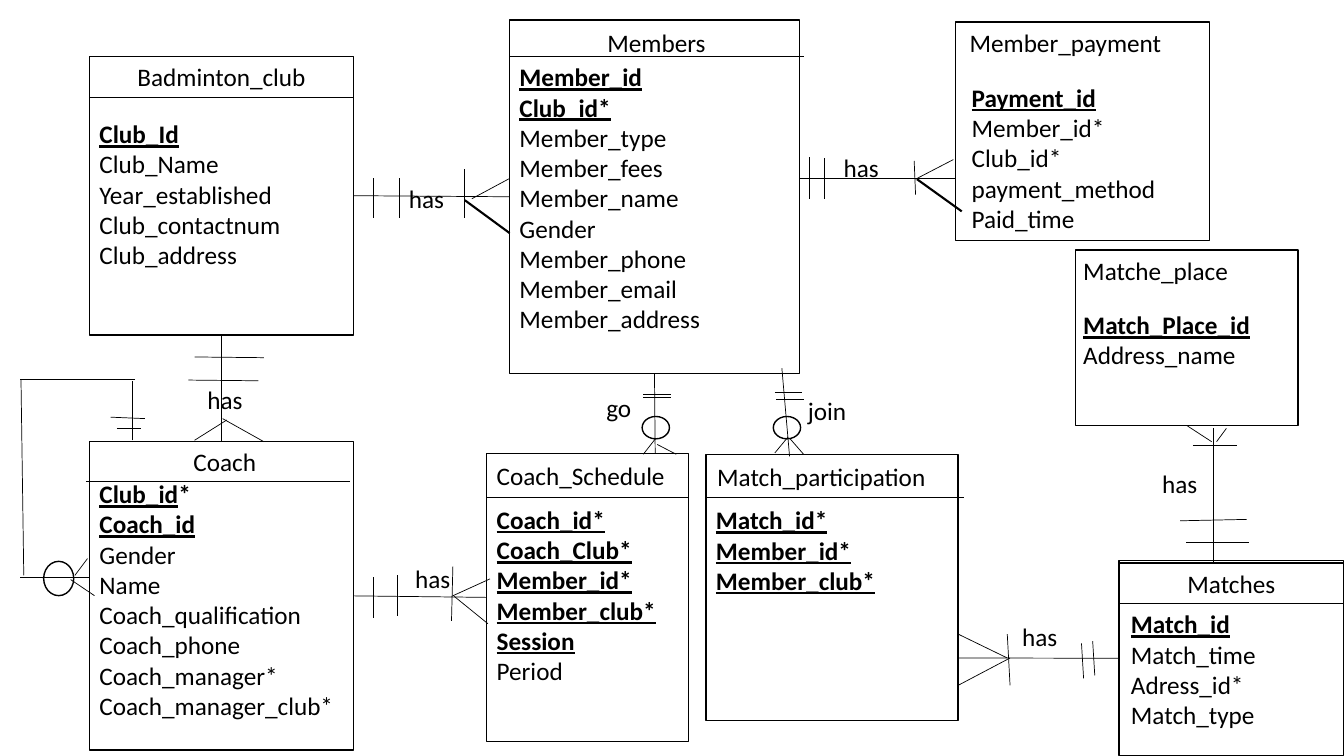
"""Build the entity diagram of a badminton club."""
import pptx
import pptx.util
import pptx.enum.shapes
import pptx.enum.text
import pptx.dml.color
import pptx.oxml

Pt = pptx.util.Pt
Kind = pptx.enum.shapes.MSO_SHAPE
Align = pptx.enum.text.PP_ALIGN
hues = {"ink": "000000", "paper": "FFFFFF"}
ink = pptx.dml.color.RGBColor.from_string(hues["ink"])
paper = pptx.dml.color.RGBColor.from_string(hues["paper"])

deck = pptx.Presentation()
deck.slide_width, deck.slide_height = Pt(960), Pt(540)
slide = deck.slides.add_slide(deck.slide_layouts[6])
shapes = slide.shapes


def write(left, top, width, rows, keys=0, align=Align.LEFT, box=None):
    """Write rows, the first ones as underlined keys, in a box or a new text box."""
    if box is None:
        box = shapes.add_textbox(Pt(left), Pt(top), Pt(width), Pt(21.8 * len(rows) + 7.2))
        box.text_frame.auto_size = pptx.enum.text.MSO_AUTO_SIZE.SHAPE_TO_FIT_TEXT
    frame = box.text_frame
    frame.word_wrap = True
    for i, row in enumerate(rows):
        para = frame.paragraphs[0] if i == 0 else frame.add_paragraph()
        para.alignment = align
        for j, part in enumerate(row.split("|")):
            run = para.add_run()
            run.text = part
            run.font.name = "Calibri"
            run.font.size = Pt(18)
            run.font.color.rgb = ink
            run.font.bold = i < keys
            run.font.underline = i < keys and j == 0


def draw(x1, y1, x2, y2, weight=0.5):
    """Add a plain black line."""
    line = shapes.add_connector(
        pptx.enum.shapes.MSO_CONNECTOR.STRAIGHT, Pt(x1), Pt(y1), Pt(x2), Pt(y2))
    line.line.color.rgb = ink
    line.line.width = Pt(weight)
    line.element.spPr.append(pptx.oxml.parse_xml(
        '<a:effectLst xmlns:a="http://schemas.openxmlformats.org/drawingml/2006/main"/>'))
    return line


mid, left = Align.CENTER, Align.LEFT
tables = [
    ("Badminton_club", (64, 40.4, 188.5, 198.8), (64, 40.3, 188.5), mid, (64, 81, 188.5),
     (64, 69.7, 252.5), 1,
     ["Club_Id", "Club_Name", "Year_established", "Club_contactnum", "Club_address"]),
    ("Coach", (64, 315.5, 188.5, 220.3), (66.3, 315.5, 188.5), mid, (64, 338.2, 188.5),
     (61.4, 344, 250), 2,
     ["Club_id|*", "Coach_id", "Gender", "Name", "Coach_qualification",
      "Coach_phone", "Coach_manager*", "Coach_manager_club*"]),
    ("Members", (364, 14.2, 207, 252.7), (364, 16, 210), mid, (364, 40.5, 210),
     (364, 40.5, 574), 2,
     ["Member_id", "Club_id*", "Member_type", "Member_fees", "Member_name",
      "Gender", "Member_phone", "Member_email", "Member_address"]),
    ("Member_payment", (682.5, 15.8, 181.5, 156), (685.5, 16, 181.5), left,
     (687, 55.2, 180), None, 1,
     ["Payment_id", "Member_id*", "Club_id*", "payment_method", "Paid_time"]),
    ("Coach_Schedule", (347.7, 323.8, 144, 205.8), (347.7, 325, 148), left,
     (347.7, 356.7, 146), (347.7, 355, 492), 5,
     ["Coach_id*", "Coach_Club*", "Member_id*", "Member_club*", "Session", "Period"]),
    ("Match_participation", (504.3, 324.7, 180, 190), (505.2, 326, 183.5), left,
     (504.3, 357, 184), (504.3, 355, 688.5), 3,
     ["Match_id*", "Member_id*", "Member_club*"]),
    ("Matche_place", (768.3, 178.5, 159, 125.5), (766.7, 178.5, 160.5), left,
     (766.7, 217.5, 160.5), None, 1, ["Match_Place_id", "Address_name"]),
    ("Matches", (799.3, 400.5, 160.4, 139.4), (799.3, 402, 160.4), mid,
     (800.8, 431.2, 158.8), None, 1,
     ["Match_id", "Match_time", "Adress_id*", "Match_type"]),
]

frames = [(name, Kind.RECTANGLE, spot) for name, spot, *_ in tables]
frames += [
    ("Matches head", Kind.RECTANGLE, (799.3, 402, 160.4, 29)),
    ("Schedule zero", Kind.OVAL, (458.7, 297.5, 19.5, 16)),
    ("Join zero", Kind.OVAL, (552.4, 297.5, 19.5, 16)),
    ("Manager zero", Kind.OVAL, (31.2, 401, 21.5, 24.5)),
]
boxes = {}
for name, kind, spot in frames:
    box = shapes.add_shape(kind, *map(Pt, spot))
    box.shadow.inherit = False
    box.fill.solid()
    box.fill.fore_color.rgb = paper
    box.line.color.rgb = ink
    box.line.width = Pt(1)
    boxes[name] = box
boxes["Manager zero"].fill.background()

for name, spot, head, align, body, rule, keys, rows in tables:
    write(*head, [name], align=align, box=boxes.get(name + " head"))
    write(*body, rows, keys)
    if rule:
        start, level, end = rule
        draw(start, level, end, level)

links = [
    ((252.5, 139.5, 364, 141), ("Badminton_club", 3), ("Members", 1)),
    ((158, 239, 158, 315.5), ("Badminton_club", 2), ("Coach", 0)),
    ((252.5, 425.5, 348, 427), ("Coach", 3), ("Coach_Schedule", 1)),
    ((467.5, 267, 468, 324), ("Members", 2), None),
    ((684.5, 470, 799, 470), None, ("Matches", 1)),
    ((847.5, 304, 865.5, 315.5), ("Matche_place", 2), None),
]
for ends, start, end in links:
    line = draw(*ends)
    if start:
        line.begin_connect(boxes[start[0]], start[1])
    if end:
        line.end_connect(boxes[end[0]], end[1])

marks = {
    "club to members": [
        (266.5, 127.5, 266.5, 156), (285, 127.5, 285, 156), (331.5, 121, 331.5, 156),
        (337, 142, 364, 127.5), (332, 143, 364, 166.5, 1.5)],
    "members to payment": [
        (571, 127.5, 682.5, 127.5), (578, 112.5, 578, 142), (589, 113, 589, 142),
        (653, 115, 654, 139), (654, 128, 681, 114), (655, 128, 687, 151, 1.5)],
    "club to coach": [
        (139, 255, 188.5, 255.5), (134.5, 271.5, 184.5, 272),
        (139, 314.5, 162, 300), (159, 299, 188.5, 315.5)],
    "coach to schedule": [
        (266.5, 412.5, 266.5, 441.5), (283.5, 411, 283.5, 440), (323.5, 404.5, 322.5, 443.5),
        (322.5, 426, 350, 413.5), (324.5, 426, 348.5, 445.5)],
    "members to schedule": [
        (459.5, 281.5, 479, 281.5), (459.5, 283.5, 479, 283.5),
        (459.5, 324.5, 468.5, 313), (469.5, 317.5, 483, 324.5)],
    "members to match": [
        (558.5, 263, 564, 326), (553.5, 280, 573, 280), (554.5, 285, 574.5, 285),
        (553.5, 323.5, 563, 312), (564, 313, 574, 324.5)],
    "participation to matches": [
        (684.5, 453, 719.5, 470), (721.5, 470, 684.5, 489.5), (719.5, 453, 721.5, 489.5),
        (772.5, 459.5, 774, 484.5), (780.5, 458, 782, 482.5)],
    "matches to place": [
        (867, 402, 867, 305.5), (869, 315.5, 876, 306), (852, 318, 883.5, 318),
        (847.5, 387.5, 892, 387.5), (843, 372, 890.5, 371)],
    "coach to manager": [
        (94.5, 314.5, 94.5, 272), (96.5, 271.2, 14.5, 271.2), (15, 271.2, 17, 411),
        (14.5, 412.5, 64, 412.5), (83.5, 306, 101, 306), (79, 298, 103.5, 299),
        (53.5, 411, 62.5, 399), (50.5, 414, 67.5, 425.5)],
}
for group in marks.values():
    for mark in group:
        draw(*mark)

labels = [
    ("has", 285, 127.5), ("has", 595.5, 105), ("has", 289.5, 399), ("go", 426, 276.5),
    ("has", 141, 271.2), ("join", 570, 278.5), ("has", 723, 440), ("has", 823, 331),
]
for word, x, y in labels:
    write(x, y, 42.5, [word])

deck.save("out.pptx")
